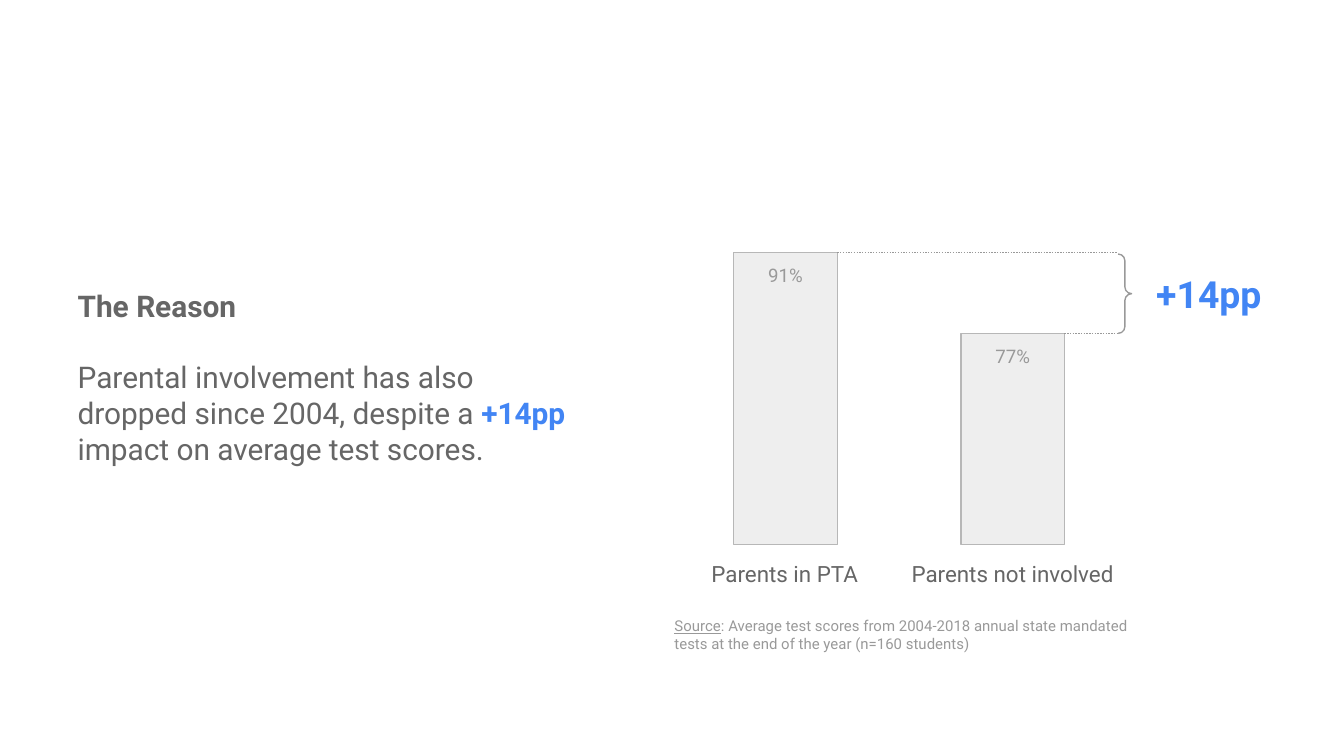
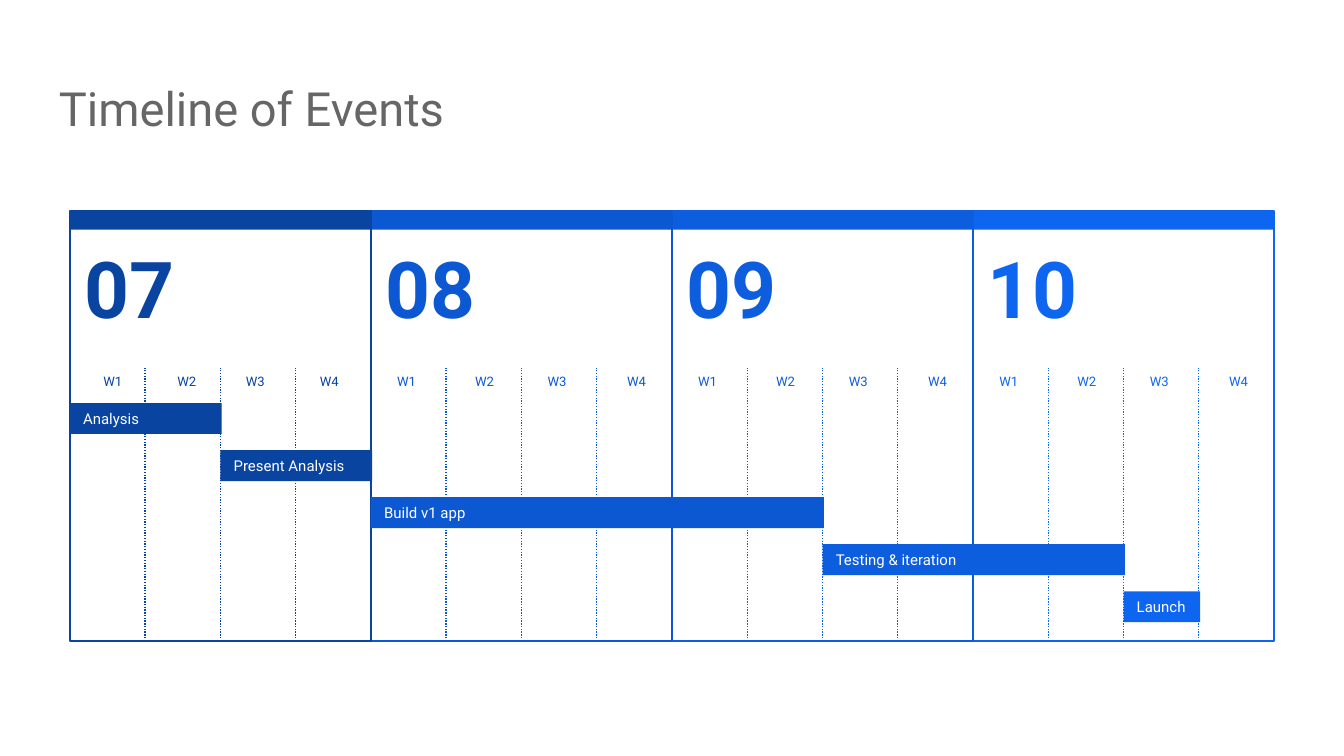
from lxml.etree import SubElement
from pptx import Presentation
from pptx.dml.color import RGBColor
from pptx.enum.dml import MSO_LINE
from pptx.enum.shapes import MSO_CONNECTOR, MSO_SHAPE
from pptx.enum.text import MSO_ANCHOR as ANCHOR, PP_ALIGN as ALIGN
from pptx.oxml.ns import qn
from pptx.util import Inches, Pt

FONT = "Roboto"
DARK_GRAY = RGBColor(0x66, 0x66, 0x66)
GRAY = RGBColor(0x99, 0x99, 0x99)
BAR_LINE = RGBColor(0xB7, 0xB7, 0xB7)
BAR_FILL = RGBColor(0xEE, 0xEE, 0xEE)
ACCENT = RGBColor(0x42, 0x85, 0xF4)
WHITE = RGBColor(0xFF, 0xFF, 0xFF)
JULY = RGBColor(0x09, 0x44, 0xA1)
AUGUST = RGBColor(0x0C, 0x58, 0xD3)
SEPTEMBER = RGBColor(0x0D, 0x5D, 0xDF)
OCTOBER = RGBColor(0x0E, 0x65, 0xF0)


def add_box(shapes, at, paragraphs=(), size=12, color=DARK_GRAY, align=ALIGN.LEFT,
            anchor=ANCHOR.TOP, gap=0, kind=None, fill=None, line=None):
    """Add a preset shape, or a text box if kind is None.

    Each paragraph is a list of runs: (text, {font attribute: value}).
    """
    position = [Inches(length) for length in at]
    if kind is None:
        box = shapes.add_textbox(*position)
    else:
        box = shapes.add_shape(kind, *position)
        box.shadow.inherit = False
        if fill is None:
            box.fill.background()
        else:
            box.fill.solid()
            box.fill.fore_color.rgb = fill
        if line is None:
            box.line.fill.background()
        else:
            box.line.color.rgb = line
            box.line.width = Pt(0.75)
    frame = box.text_frame
    frame.word_wrap = True
    frame.vertical_anchor = anchor
    frame.margin_left = frame.margin_right = Inches(0.1)
    frame.margin_top = frame.margin_bottom = Inches(0.1)
    for index, runs in enumerate(paragraphs):
        paragraph = frame.add_paragraph() if index else frame.paragraphs[0]
        paragraph.alignment = align
        paragraph.space_before = Pt(gap if index else 0)
        for text, style in runs:
            run = paragraph.add_run()
            run.text = text
            run.font.name = FONT
            run.font.size = Pt(size)
            run.font.bold = style.get("bold", False)
            run.font.underline = style.get("underline", False)
            run.font.color.rgb = style.get("color", color)


def add_dotted_line(shapes, x1, y1, x2, y2, color):
    dotted = shapes.add_connector(MSO_CONNECTOR.STRAIGHT, Inches(x1), Inches(y1),
                                  Inches(x2), Inches(y2))
    dotted.line.color.rgb = color
    dotted.line.width = Pt(0.75)
    dotted.line.dash_style = MSO_LINE.ROUND_DOT
    SubElement(dotted._element.spPr, qn("a:effectLst"))


deck = Presentation()
deck.slide_width = Inches(10)
deck.slide_height = Inches(5.625)
blank = deck.slide_layouts[6]

# Slide 1: the reason
reason = deck.slides.add_slide(blank).shapes
BASELINE = 4.05
BAR_WIDTH = 0.77
BRACE_LEFT = 8.32
impact = ("+14pp", {"bold": True, "color": ACCENT})

add_box(reason, (0.48, 2.04, 3.84, 1.55), [
    [("The Reason", {"bold": True})],
    [("Parental involvement has also dropped since 2004, despite a ", {}),
     impact,
     (" impact on average test scores.", {})],
], size=16, gap=19)

for group, score, left, top, label_left, label_width in [
    ("Parents in PTA", "91%", 5.46, 1.88, 5.07, 1.54),
    ("Parents not involved", "77%", 7.15, 2.48, 6.65, 1.77),
]:
    add_box(reason, (left, top, BAR_WIDTH, BASELINE - top),
            kind=MSO_SHAPE.RECTANGLE, fill=BAR_FILL, line=BAR_LINE)
    add_box(reason, (left, top, BAR_WIDTH, 0.37), [[(score, {})]],
            size=10, color=GRAY, align=ALIGN.CENTER)
    add_box(reason, (label_left, 4.07, label_width, 0.4), [[(group, {})]],
            align=ALIGN.CENTER)
    add_dotted_line(reason, left + BAR_WIDTH, top, BRACE_LEFT - 0.01, top, GRAY)

add_box(reason, (BRACE_LEFT, 1.89, 0.1, 0.59), kind=MSO_SHAPE.RIGHT_BRACE, line=GRAY)
reason[-1].adjustments[0] = 0.5
add_box(reason, (8.42, 1.92, 1.15, 0.54), [[impact]], size=20, align=ALIGN.CENTER)
add_box(reason, (4.92, 4.49, 3.74, 0.47), [[
    ("Source", {"underline": True}),
    (": Average test scores from 2004-2018 annual state mandated tests "
     "at the end of the year (n=160 students)", {}),
]], size=8, color=GRAY)

# Slide 2: timeline
timeline = deck.slides.add_slide(blank).shapes
LEFT, TOP, HEIGHT = 0.52, 1.57, 3.2
WEEK = 0.56
MONTH = 4 * WEEK
WEEKS_TOP = 2.74
FIRST_TASK_TOP, TASK_PITCH = 3, 0.35
wide_labels = (0.39, (0.07, 0.65, 1.19, 1.78))
narrow_labels = (0.36, (0.14, 0.69, 1.2, 1.75))

months = [
    ("07", JULY, narrow_labels),
    ("08", AUGUST, wide_labels),
    ("09", SEPTEMBER, wide_labels),
    ("10", OCTOBER, wide_labels),
]
# Later months lie behind earlier ones
for index, (number, color, (label_width, offsets)) in reversed(list(enumerate(months))):
    left = LEFT + index * MONTH
    month = timeline.add_group_shape().shapes
    add_box(month, (left, TOP, MONTH, HEIGHT), kind=MSO_SHAPE.RECTANGLE, line=color)
    add_box(month, (left, TOP, MONTH, 0.14), kind=MSO_SHAPE.RECTANGLE, fill=color)
    add_box(month, (left, 1.7, 0.88, 0.87), [[(number, {"bold": True})]], size=42,
            color=color, align=ALIGN.CENTER, anchor=ANCHOR.MIDDLE)
    for week, offset in enumerate(offsets, start=1):
        add_box(month, (left + offset, WEEKS_TOP, label_width, 0.2),
                [[(f"W{week}", {})]], size=7, color=color,
                align=ALIGN.CENTER, anchor=ANCHOR.MIDDLE)
    for week in range(1, 4):
        x = left + week * WEEK
        add_dotted_line(month, x, TOP + HEIGHT, x, WEEKS_TOP, color)

tasks = [  # name, first week, number of weeks, colour
    ("Analysis", 0, 2, JULY),
    ("Present Analysis", 2, 2, JULY),
    ("Build v1 app", 4, 6, AUGUST),
    ("Testing & iteration", 10, 4, SEPTEMBER),
    ("Launch", 14, 1, OCTOBER),
]
for row, (task, start, weeks, color) in enumerate(tasks):
    add_box(timeline, (LEFT + start * WEEK, FIRST_TASK_TOP + row * TASK_PITCH,
                       weeks * WEEK + 0.01, 0.23),
            [[(task, {})]], size=8, color=WHITE, anchor=ANCHOR.MIDDLE,
            kind=MSO_SHAPE.RECTANGLE, fill=color)

add_box(timeline, (0.34, 0.49, 9.32, 0.63), [[("Timeline of Events", {})]], size=25.2)

deck.save("out.pptx")
